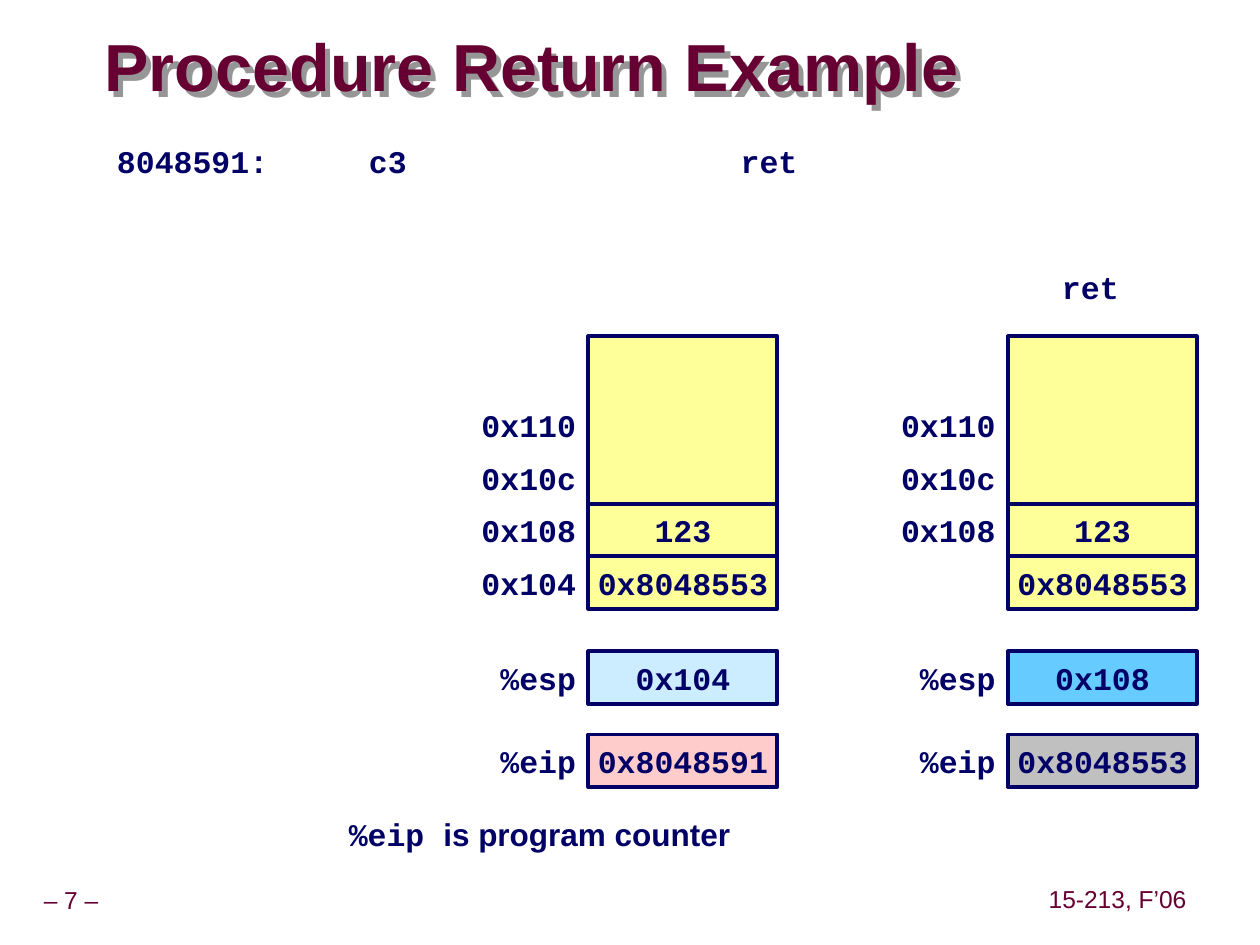
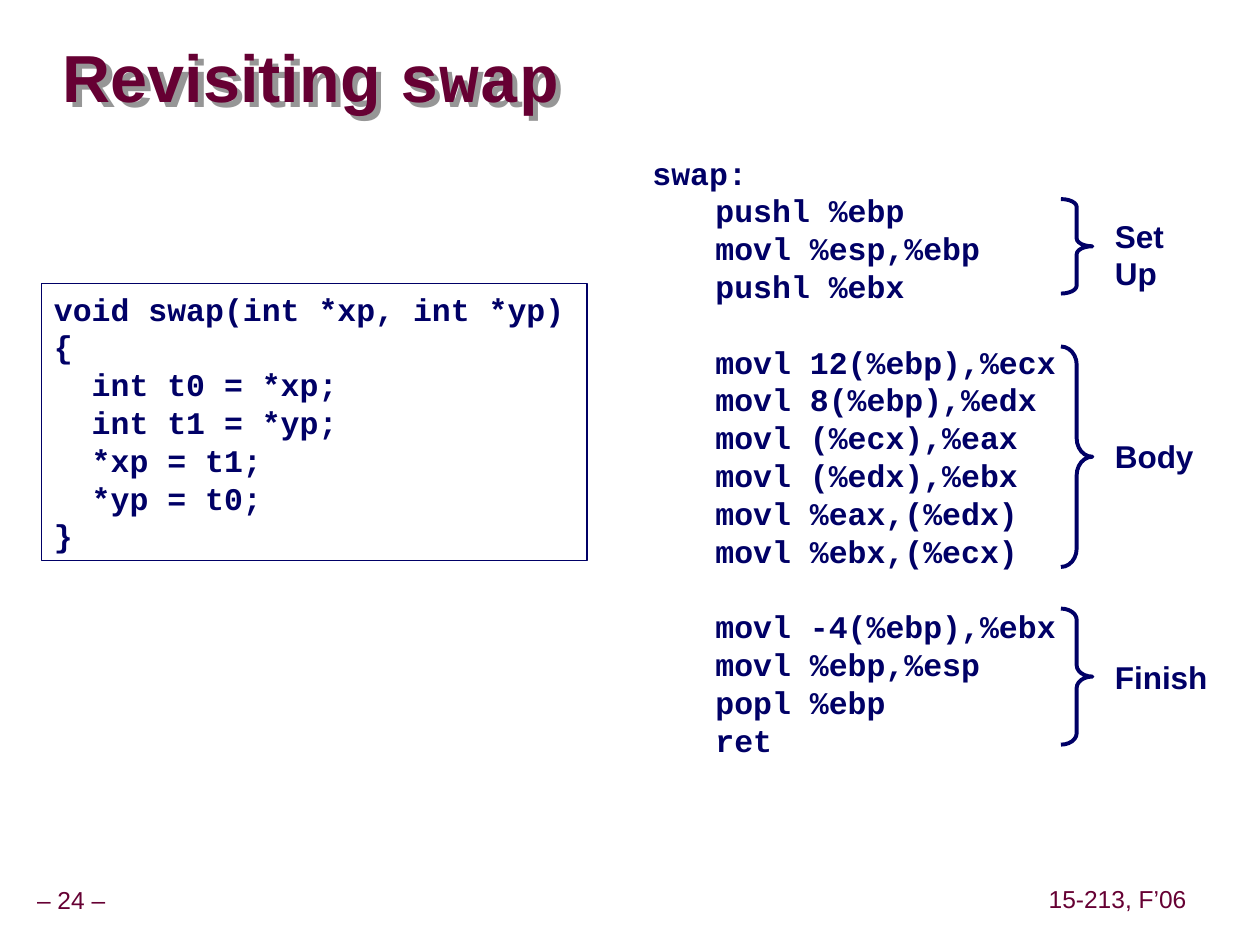
import pptx
import pptx.util
from lxml import etree
from pptx.dml.color import RGBColor
from pptx.enum.shapes import MSO_SHAPE
from pptx.enum.text import MSO_ANCHOR, PP_ALIGN
from pptx.oxml.ns import qn
from pptx.util import Inches, Pt

NAVY = RGBColor(0x00, 0x00, 0x66)
MAROON = RGBColor(0x66, 0x00, 0x33)
WHITE = RGBColor(0xFF, 0xFF, 0xFF)
YELLOW = RGBColor(0xFF, 0xFF, 0x99)
PALE_BLUE = RGBColor(0xCC, 0xEC, 0xFF)
SKY_BLUE = RGBColor(0x66, 0xCC, 0xFF)
PINK = RGBColor(0xFF, 0xCC, 0xCC)
GRAY = RGBColor(0xC0, 0xC0, 0xC0)
SHADOW = RGBColor(0x96, 0x96, 0x96)

SANS, MONO = "Arial", "Courier New"
LINE_PITCH = Pt(21.6)
COURSE = "15-213, F’06"

CELL_W, CELL_H = 1.5, 1.25 / 3
STACK_TOP, ARGS_TOP = 2.67, 4.0
ESP_TOP, EIP_TOP = 5.17, 5.83

SWAP_C = """void swap(int *xp, int *yp)
{
  int t0 = *xp;
  int t1 = *yp;
  *xp = t1;
  *yp = t0;
}"""

SWAP_ASM = [
    ["swap:", "\tpushl %ebp", "\tmovl %esp,%ebp", "\tpushl %ebx"],
    ["\tmovl 12(%ebp),%ecx", "\tmovl 8(%ebp),%edx", "\tmovl (%ecx),%eax",
     "\tmovl (%edx),%ebx", "\tmovl %eax,(%edx)", "\tmovl %ebx,(%ecx)"],
    ["\tmovl -4(%ebp),%ebx", "\tmovl %ebp,%esp", "\tpopl %ebp", "\tret"],
]


def box(x, y, w, h):
    return Inches(x), Inches(y), Inches(w), Inches(h)


def style_runs(p, font, size, color, bold):
    for r in p.runs:
        r.font.name = font
        r.font.size = Pt(size)
        r.font.color.rgb = color
        r.font.bold = bold


def set_tabs(p, stops):
    tabs = etree.SubElement(p._p.get_or_add_pPr(), qn("a:tabLst"))
    for stop in stops:
        etree.SubElement(tabs, qn("a:tab"), pos=str(Inches(stop)), algn="l")


def write(sp, text, font=MONO, align=PP_ALIGN.LEFT, anchor=MSO_ANCHOR.TOP,
          wrap=True, tabs=()):
    """Fill a shape with bold 18 pt navy text, one paragraph a line."""
    tf = sp.text_frame
    tf.word_wrap = wrap
    tf.vertical_anchor = anchor
    tf.text = text
    for p in tf.paragraphs:
        if tabs:
            set_tabs(p, tabs)
        p.alignment = align
        p.line_spacing = LINE_PITCH
        style_runs(p, font, 18, NAVY, True)
    return tf


def add_text(s, x, y, w, h, text, **options):
    return write(s.shapes.add_textbox(*box(x, y, w, h)), text, **options)


def add_preset(s, shape, x, y, w, h, fill=None, weight=2.25):
    """Preset shape with a navy outline; weight 0 leaves the outline out."""
    sp = s.shapes.add_shape(shape, *box(x, y, w, h))
    sp.shadow.inherit = False
    if weight:
        sp.line.color.rgb = NAVY
        sp.line.width = Pt(weight)
    else:
        sp.line.fill.background()
    if fill is None:
        sp.fill.background()
    else:
        sp.fill.solid()
        sp.fill.fore_color.rgb = fill
    return sp


def add_cell(s, x, y, text, fill, align=PP_ALIGN.CENTER, weight=2.25):
    sp = add_preset(s, MSO_SHAPE.RECTANGLE, x, y, CELL_W, CELL_H, fill, weight)
    write(sp, text, align=align, anchor=MSO_ANCHOR.MIDDLE, wrap=False)


def add_label(s, cell_x, y, text):
    """Right-aligned name just left of a cell."""
    add_cell(s, cell_x - CELL_W, y, text, WHITE, PP_ALIGN.RIGHT, weight=0)


def add_machine_state(s, x, addresses, esp, eip, esp_fill, eip_fill):
    """Stack column with its addresses, and the two registers below it."""
    for row, address in enumerate(addresses, start=-2):
        add_label(s, x, ARGS_TOP + row * CELL_H, address)
    for row, value in reversed(list(enumerate(["123", "0x8048553"]))):
        add_cell(s, x, ARGS_TOP + row * CELL_H, value, YELLOW)
    add_preset(s, MSO_SHAPE.RECTANGLE, x, STACK_TOP, CELL_W,
               ARGS_TOP - STACK_TOP, YELLOW)
    for name, y, value, fill in [("%esp", ESP_TOP, esp, esp_fill),
                                 ("%eip", EIP_TOP, eip, eip_fill)]:
        add_label(s, x, y, name)
        add_cell(s, x, y, value, fill)


def add_brace(s, y, h, label, label_y, label_h=0.4):
    w = 0.25
    sp = add_preset(s, MSO_SHAPE.RIGHT_BRACE, 8.42, y, w, h)
    sp.adjustments[0] = h / w / 12
    add_text(s, 8.75, label_y, 1.1, label_h, label, font=SANS)


def add_title(s, x, y, w, text, code=""):
    sp = s.shapes.add_textbox(*box(x, y, w, 0.63))
    effects = etree.SubElement(sp._element.spPr, qn("a:effectLst"))
    shadow = etree.SubElement(effects, qn("a:outerShdw"), dist=str(Pt(4.25)),
                              dir="2700000", algn="ctr", rotWithShape="0")
    etree.SubElement(shadow, qn("a:srgbClr"), val=str(SHADOW))
    tf = sp.text_frame
    tf.word_wrap = True
    tf.vertical_anchor = MSO_ANCHOR.MIDDLE
    tf.margin_left = tf.margin_right = tf.margin_top = tf.margin_bottom = 0
    p = tf.paragraphs[0]
    p.text = text
    p.line_spacing = 0.87
    if code:
        p.add_run().text = code
    style_runs(p, SANS, 38, MAROON, True)
    if code:
        p.runs[-1].font.name = MONO


def add_footer(s, number):
    for x, y, w, text in [(0, 7, 1.13, f"– {number} –"), (8.27, 6.99, 1.2, COURSE)]:
        tf = s.shapes.add_textbox(*box(x, y, w, 0.31)).text_frame
        tf.margin_left = tf.margin_right = Inches(0.05)
        tf.vertical_anchor = MSO_ANCHOR.MIDDLE
        tf.word_wrap = False
        p = tf.paragraphs[0]
        p.text = text
        p.alignment = PP_ALIGN.CENTER
        p.line_spacing = 0.9
        style_runs(p, SANS, 14, MAROON, False)


def add_slide(prs, number):
    s = prs.slides.add_slide(prs.slide_layouts[6])
    add_footer(s, number)
    return s


def build_return_example(prs):
    s = add_slide(prs, 7)
    add_title(s, 0.83, 0.25, 8.75, "Procedure Return Example")
    add_text(s, 0.83, 1.08, 5.65, 0.4, "8048591:\tc3\tret", tabs=[2, 4.95])
    add_text(s, 8.33, 2.08, 0.65, 0.4, "ret", wrap=False)
    addresses = ["0x110", "0x10c", "0x108", "0x104"]
    add_machine_state(s, 4.67, addresses, "0x104", "0x8048591", PALE_BLUE, PINK)
    add_machine_state(s, 8, addresses[:3], "0x108", "0x8048553", SKY_BLUE, GRAY)
    tf = add_text(s, 2.67, 6.42, 3.23, 0.4, "%eip ", wrap=False)
    p = tf.paragraphs[0]
    p.add_run().text = "is program counter"
    style_runs(p, SANS, 18, NAVY, True)
    p.runs[0].font.name = MONO


def build_swap(prs):
    s = add_slide(prs, 24)
    add_title(s, 0.5, 0.33, 6.43, "Revisiting ", code="swap")
    sp = add_preset(s, MSO_SHAPE.RECTANGLE, 0.33, 2.25, 4.33, 2.2, weight=1)
    write(sp, SWAP_C)

    lines = [line for block in SWAP_ASM for line in block]
    tf = add_text(s, 5.08, 1.17, 3.67, 4.9, "\n".join(lines), tabs=[0.5])
    block_starts = [block[0] for block in SWAP_ASM[1:]]
    for p, line in zip(tf.paragraphs, lines):
        if line in block_starts:
            p.space_before = LINE_PITCH

    add_brace(s, 1.58, 0.75, "Set\nUp", 1.67, 0.7)
    add_brace(s, 2.75, 1.75, "Body", 3.42)
    add_brace(s, 4.83, 1.08, "Finish", 5.17)


def main():
    prs = pptx.Presentation()
    prs.slide_width, prs.slide_height = Inches(10), Inches(7.5)
    build_return_example(prs)
    build_swap(prs)
    prs.save("out.pptx")


if __name__ == "__main__":
    main()
